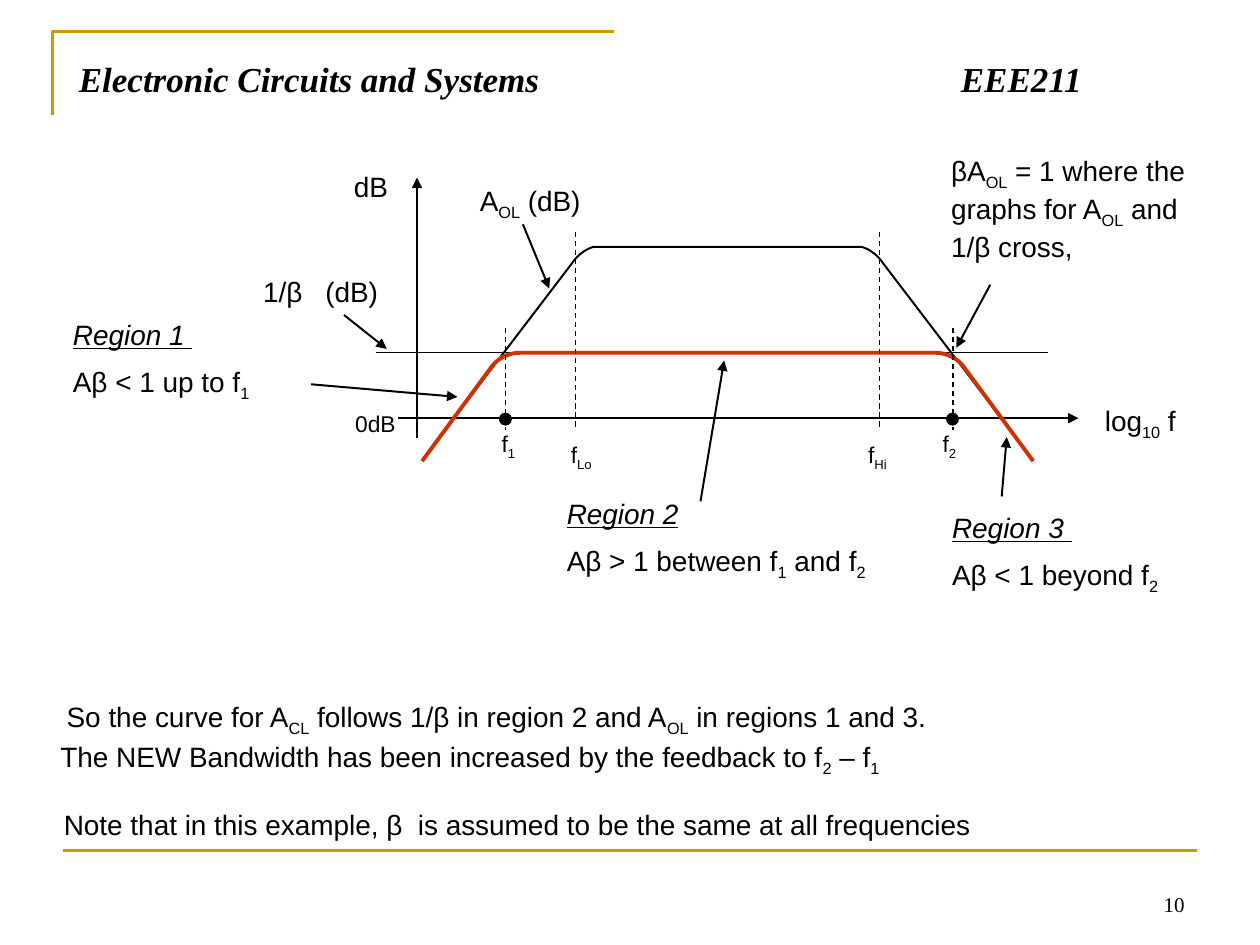
import pptx
import pptx.dml.color
import pptx.enum.dml
import pptx.enum.shapes
import pptx.enum.text
import pptx.oxml.ns
import pptx.util
from lxml import etree

Pt = pptx.util.Pt
BLACK = pptx.dml.color.RGBColor(0x00, 0x00, 0x00)
GOLD = pptx.dml.color.RGBColor(0xCC, 0x99, 0x00)
RED = pptx.dml.color.RGBColor(0xCC, 0x33, 0x00)
SANS, SERIF = "Arial", "Times New Roman"
THIN, MEDIUM = 0.75, 1.13


def add_element(parent, tag, **attributes):
    return etree.SubElement(parent, pptx.oxml.ns.qn(tag), attributes)


def add_line(page, start, end, width=MEDIUM, color=BLACK, dashed=False, arrow=False):
    line = page.shapes.add_connector(
        pptx.enum.shapes.MSO_CONNECTOR.STRAIGHT,
        Pt(start[0]), Pt(start[1]), Pt(end[0]), Pt(end[1]))
    line.line.color.rgb = color
    line.line.width = Pt(width)
    if dashed:
        line.line.dash_style = pptx.enum.dml.MSO_LINE.DASH
    properties = line._element.spPr
    if arrow:
        add_element(properties.find(pptx.oxml.ns.qn("a:ln")), "a:tailEnd", type="triangle")
    add_element(properties, "a:effectLst")


def add_outline(page, points, width, color):
    """Open polyline through the points."""
    places = [(Pt(x), Pt(y)) for x, y in points]
    builder = page.shapes.build_freeform(*places[0])
    builder.add_line_segments(places[1:], close=False)
    outline = builder.convert_to_shape()
    outline.shadow.inherit = False
    outline.fill.background()
    outline.line.color.rgb = color
    outline.line.width = Pt(width)


def add_text(page, left, top, width, height, lines, size=16, name=SANS,
             inset=True, tab=None):
    """Text box; underscores in a line enclose its subscripts."""
    box = page.shapes.add_textbox(Pt(left), Pt(top), Pt(width), Pt(height))
    frame = box.text_frame
    frame.word_wrap = True
    if not inset:
        frame.margin_left = frame.margin_top = frame.margin_right = frame.margin_bottom = 0
    for number, text in enumerate(lines):
        para = frame.paragraphs[0] if number == 0 else frame.add_paragraph()
        if number:
            para.space_before = Pt(8)
        if tab:
            stops = add_element(para._p.get_or_add_pPr(), "a:tabLst")
            add_element(stops, "a:tab", pos=str(Pt(tab)), algn="l")
        for index, piece in enumerate(text.split("_")):
            if not piece:
                continue
            span = para.add_run()
            span.text = piece
            span.font.size = Pt(size)
            span.font.name = name
            span.font.color.rgb = BLACK
            if index % 2:
                span.font._element.set("baseline", "-25000")
    return frame


def bezier(start, first, second, end, steps=10):
    points = []
    for step in range(steps + 1):
        t = step / steps
        weights = ((1 - t) ** 3, 3 * t * (1 - t) ** 2, 3 * t * t * (1 - t), t ** 3)
        corners = (start, first, second, end)
        points.append(tuple(sum(w * corner[axis] for w, corner in zip(weights, corners))
                            for axis in (0, 1)))
    return points


def draw_header(page, left, top, width):
    # Corner rule, course title and code
    add_outline(page, [(left, top + 48), (left, top), (left + 321, top)], 1.5, GOLD)
    frame = add_text(page, left + 8, top + 11.5, width, 44,
                     ["Electronic Circuits and Systems\tEEE211"], 20, SERIF, tab=504)
    for span in frame.paragraphs[0].runs:
        span.font.bold = span.font.italic = True


def draw_footer(page, left, top, width):
    # Bottom rule and page number
    add_line(page, (left, top), (left + width, top), 1.5, GOLD)
    frame = add_text(page, left + width - 168, top + 5.5, 168, 36, ["10"], 12, SERIF)
    frame.vertical_anchor = pptx.enum.text.MSO_ANCHOR.BOTTOM
    frame.paragraphs[0].alignment = pptx.enum.text.PP_ALIGN.RIGHT


def draw_graph(page, left, top, width, height):
    """Gain graph; the axes cross at the lower left corner of the box."""
    base = top + height
    middle = 177.5
    beta_level = -37.4

    def at(x, y):
        return left + x, base + y

    def add_gain_curve(half, line_width, color):
        # Symmetric curve given by its right half
        points = [(middle - x, y) for x, y in reversed(half)]
        points += [(middle + x, y) for x, y in half]
        add_outline(page, [at(*point) for point in points], line_width, color)

    # Axes and 1/β level
    add_line(page, at(0, 11.5), at(0, -height), arrow=True)
    add_line(page, at(-10.8, 0), at(width, 0), arrow=True)
    add_line(page, at(-23.7, beta_level), at(360.7, beta_level), THIN)

    # Open-loop and closed-loop gain
    open_loop = bezier((76.7, -97.9), (81.7, -96.4), (86, -92.8), (88.9, -88.5))
    add_gain_curve(open_loop + [(169.6, 17.3)], MEDIUM, BLACK)
    closed_loop = bezier((118.4, beta_level), (124.9, beta_level),
                         (130.7, -34.5), (134.3, -30.2))
    add_gain_curve(closed_loop + [(174.6, 24.5)], 2.25, RED)

    # Frequency markers: x, top of dashes, label place, label
    markers = [(50.5, -51.5, 48.3, 6.5, "f_1_"), (90.7, -106.5, 87.9, 13, "f_Lo_"),
               (264.3, -106.5, 257.8, 13, "f_Hi_"), (306.3, -51.5, 300.3, 6.5, "f_2_")]
    for x, dash_top, label_x, label_y, label in markers:
        add_line(page, at(x, dash_top), at(x, 6.5), THIN, dashed=True)
        add_text(page, *at(label_x, label_y), 20, 16, [label], 13, inset=False)
    for x in (50.5, 306):
        dot_left, dot_top = at(x - 3.5, -3)
        dot = page.shapes.add_shape(pptx.enum.shapes.MSO_SHAPE.OVAL,
                                    Pt(dot_left), Pt(dot_top), Pt(7), Pt(7))
        dot.shadow.inherit = False
        dot.fill.solid()
        dot.fill.fore_color.rgb = BLACK
        dot.line.color.rgb = BLACK
        dot.line.width = Pt(0.38)

    # Axis and curve labels
    add_text(page, *at(-35.3, -5), 30, 16, ["0dB"], 13, inset=False)
    add_text(page, *at(-43.2, -145.4), 45, 27, ["dB"])
    add_text(page, *at(386, -12.2), 76, 27, ["log_10_ f"])
    add_text(page, *at(-95, -85.6), 90, 27, ["1/β\t(dB)"], tab=35.5)
    add_text(page, *at(28.8, -137.5), 120, 27, ["A_OL_ (dB)"])
    add_text(page, *at(298.1, -154.8), 168, 66,
             ["βA_OL_ = 1 where the graphs for A_OL_ and 1/β cross,"])

    # Pointers from labels to curves
    for start, end in [((60.5, -110.8), (75.6, -74.1)), ((-41.7, -59), (-17.3, -39.6)),
                       ((327.6, -76.3), (308.2, -40.3))]:
        add_line(page, at(*start), at(*end), arrow=True)


def draw_region(page, left, top, width, heading, condition, start, end):
    # Underlined heading, condition and pointer
    frame = add_text(page, left, top, width, 55, [heading, condition])
    for span in frame.paragraphs[0].runs:
        span.font.italic = span.font.underline = True
    add_line(page, (left + start[0], top + start[1]),
             (left + end[0], top + end[1]), arrow=True)


def draw_conclusions(page, left, top, width):
    for x, y, text in [
            (3.6, 0, "So the curve for A_CL_ follows 1/β in region 2 and A_OL_ in regions 1 and 3."),
            (0, 23, "The NEW Bandwidth has been increased by the feedback to f_2_ – f_1_"),
            (2, 62, "Note that in this example, β  is assumed to be the same at all frequencies")]:
        add_text(page, left + x, top + y, width, 27, [text])


def main():
    deck = pptx.Presentation()
    deck.slide_width, deck.slide_height = Pt(720), Pt(540)
    page = deck.slides.add_slide(deck.slide_layouts[6])
    draw_header(page, 30, 18, 642)
    draw_footer(page, 36, 486, 648)
    draw_graph(page, 238.3, 101.5, 378, 137.5)
    draw_region(page, 34.6, 177.8, 128, "Region 1 ", "Aβ < 1 up to f_1_",
                (143.2, 41.8), (226.8, 49))
    draw_region(page, 316.8, 280, 192, "Region 2", "Aβ > 1 between f_1_ and f_2_",
                (83.5, 6.5), (97, -74))
    draw_region(page, 537, 288, 149, "Region 3 ", "Aβ < 1 beyond f_2_",
                (35.4, -4.3), (38.3, -38.2))
    draw_conclusions(page, 27.4, 396, 610)
    deck.save("out.pptx")


if __name__ == "__main__":
    main()
